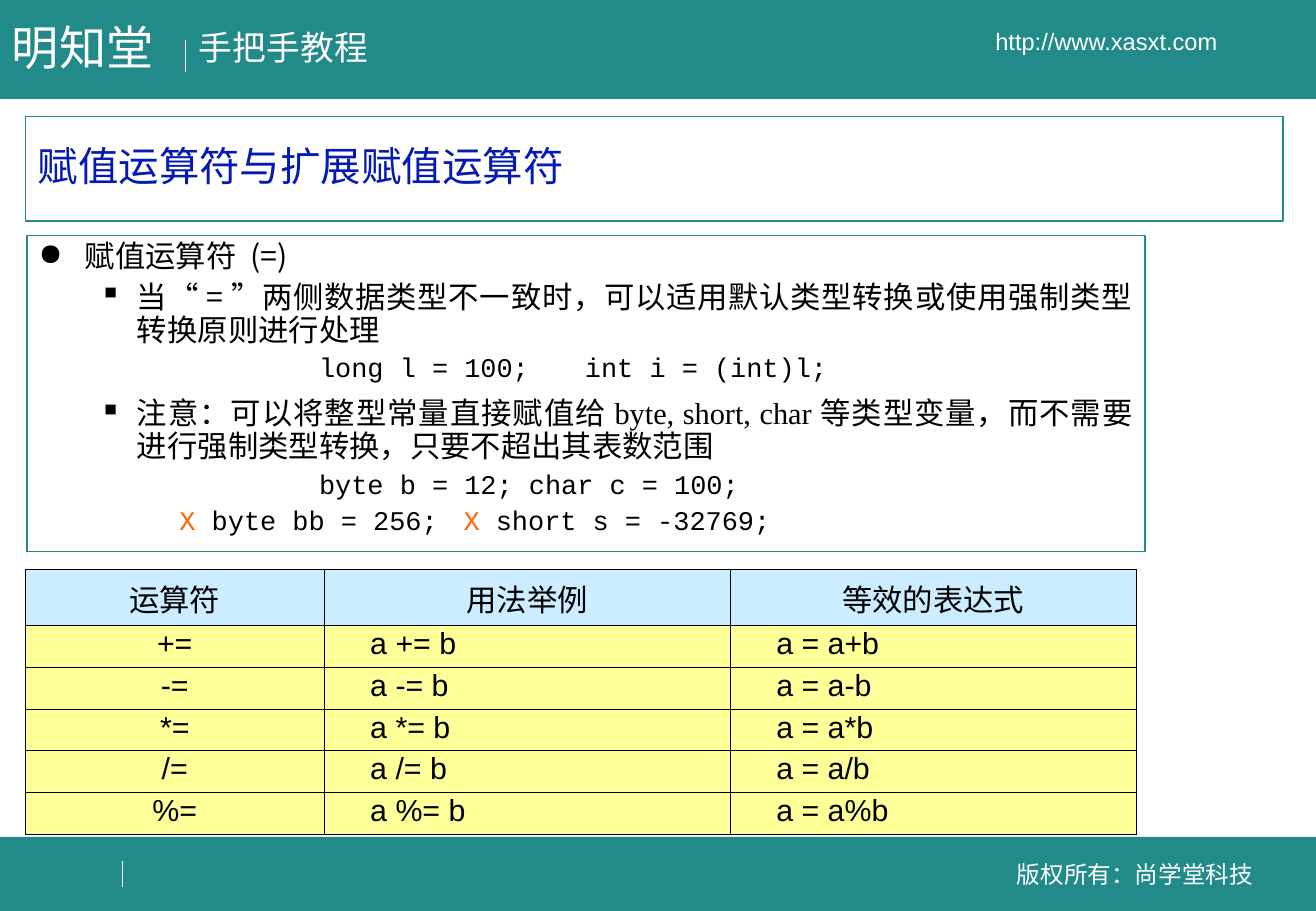
from lxml import etree
from pptx import Presentation
from pptx.dml.color import RGBColor
from pptx.enum.shapes import MSO_CONNECTOR, MSO_SHAPE
from pptx.enum.text import MSO_ANCHOR, MSO_AUTO_SIZE, PP_ALIGN
from pptx.oxml.ns import qn
from pptx.util import Inches, Pt

RECTANGLE = MSO_SHAPE.RECTANGLE
STRAIGHT = MSO_CONNECTOR.STRAIGHT
TOP, MIDDLE = MSO_ANCHOR.TOP, MSO_ANCHOR.MIDDLE
NO_AUTOFIT = MSO_AUTO_SIZE.NONE
LEFT, CENTER, JUSTIFY = PP_ALIGN.LEFT, PP_ALIGN.CENTER, PP_ALIGN.JUSTIFY

TEAL, WHITE, BLACK, BLUE, ORANGE = "228A88", "FFFFFF", "000000", "051AB3", "FF6600"
HEADER_FILL, ROW_FILL = "CCECFF", "FFFF99"
ARIAL, COURIER, SANS, TIMES = "Arial", "Courier New", "Noto Sans CJK SC", "Times New Roman"
SLIDE_WIDTH, SLIDE_HEIGHT = 10.84, 7.5

CODE_STYLE = (COURIER, 16, BLACK)
CROSS_STYLE = (COURIER, 16, ORANGE)
SANS_STYLE = (SANS, 18, BLACK)
TIMES_STYLE = (TIMES, 18, BLACK)

BODY = [
    dict(bullet="●", margin=0.38, indent=-0.38, before=0,
         runs=[("赋值", TIMES_STYLE), ("运算符 (=)", SANS_STYLE)]),
    dict(bullet="▪", margin=0.81, indent=-0.31, before=4.5,
         runs=[("当“=”两侧数据类型不一致时，可以适用默认类型转换或使用强制类型转换原则进行处理",
                SANS_STYLE)]),
    dict(indent=2.31, tab=4.98, before=4,
         runs=[("long l = 100;\tint i = (int)l;", CODE_STYLE)]),
    dict(bullet="▪", margin=0.81, indent=-0.31, before=9,
         runs=[("注意：可以将整型常量直接赋值给", SANS_STYLE),
               ("byte, short, char", TIMES_STYLE),
               ("等类型变量，而不需要进行强制类型转换，只要不超出其表数范围", SANS_STYLE)]),
    dict(indent=2.31, before=4, runs=[("byte b = 12; char c = 100;", CODE_STYLE)]),
    dict(indent=1.16, tab=3.96, before=4,
         runs=[("X", CROSS_STYLE), (" byte bb = 256;\t", CODE_STYLE),
               ("X", CROSS_STYLE), (" short s = -32769;", CODE_STYLE)]),
]
TABLE_HEADINGS = ["运算符", "用法举例", "等效的表达式"]
OPERATORS = ["+", "-", "*", "/", "%"]


def color(value):
    return RGBColor.from_string(value)


def format_run(run, font, size, value):
    run.font.name = font
    run.font.size = Pt(size)
    run.font.color.rgb = color(value)
    east_asian = etree.SubElement(run.font._element, qn("a:ea"))
    east_asian.set("typeface", SANS)


def set_text(text_frame, text, font, size, value, align=LEFT):
    text_frame.text = text
    paragraph = text_frame.paragraphs[0]
    paragraph.alignment = align
    format_run(paragraph.runs[0], font, size, value)
    return paragraph


def add_rectangle(slide, box, fill=None, line_width=0.25):
    shape = slide.shapes.add_shape(RECTANGLE, *map(Inches, box))
    shape.shadow.inherit = False
    if fill:
        shape.fill.solid()
        shape.fill.fore_color.rgb = color(fill)
    else:
        shape.fill.background()
    shape.line.color.rgb = color(TEAL)
    shape.line.width = Pt(line_width)
    return shape


def add_divider(slide, x, top, bottom):
    connector = slide.shapes.add_connector(
        STRAIGHT, Inches(x), Inches(top), Inches(x), Inches(bottom))
    connector.line.color.rgb = color(WHITE)
    connector.line.width = Pt(0.75)
    etree.SubElement(connector._element.spPr, qn("a:effectLst"))


def add_label(slide, box, text, size, align=LEFT, anchor=TOP):
    text_frame = slide.shapes.add_textbox(*map(Inches, box)).text_frame
    text_frame.word_wrap = True
    text_frame.vertical_anchor = anchor
    set_text(text_frame, text, ARIAL, size, WHITE, align)


def add_header(slide, left, top, width, height):
    add_rectangle(slide, (left, top, width, height), TEAL)
    add_divider(slide, left + 1.53, top + 0.33, top + 0.59)
    add_label(slide, (left, top + 0.1, 1.45, 0.57), "明知堂", 28)
    add_label(slide, (left + 1.54, top + 0.17, 1.65, 0.44), "手把手教程", 20)
    add_label(slide, (left + 7.4, top + 0.17, 3.43, 0.34), "http://www.xasxt.com", 14,
              CENTER, MIDDLE)


def add_footer(slide, left, top, width, height):
    add_rectangle(slide, (left, top, width, height), TEAL)
    add_divider(slide, left + 1.01, top + 0.2, top + 0.41)
    add_label(slide, (left + 8.09, top + 0.14, 2.52, 0.34), "版权所有：尚学堂科技", 14,
              CENTER, MIDDLE)


def place_title(slide, left, top, width, height):
    title = slide.shapes.title
    title.left, title.top = Inches(left), Inches(top)
    title.width, title.height = Inches(width), Inches(height)
    title.line.color.rgb = color(TEAL)
    title.line.width = Pt(0.75)
    text_frame = title.text_frame
    text_frame.auto_size = NO_AUTOFIT
    text_frame.vertical_anchor = MIDDLE
    paragraph = set_text(text_frame, "赋值运算符与扩展赋值运算符", ARIAL, 24, BLUE)
    paragraph.line_spacing = 0.9


def format_body_paragraph(paragraph, runs, indent, before, margin=0, bullet=None, tab=None):
    properties = paragraph._p.get_or_add_pPr()
    properties.set("marL", str(Inches(margin)))
    properties.set("indent", str(Inches(indent)))
    if bullet:
        bullet_color = etree.SubElement(properties, qn("a:buClr"))
        etree.SubElement(bullet_color, qn("a:srgbClr")).set("val", BLACK)
        etree.SubElement(properties, qn("a:buChar")).set("char", bullet)
    if tab:
        tab_list = etree.SubElement(properties, qn("a:tabLst"))
        etree.SubElement(tab_list, qn("a:tab"), pos=str(Inches(tab)), algn="l")
    paragraph.alignment = JUSTIFY
    paragraph.line_spacing = 0.9
    paragraph.space_before = Pt(before)
    for text, style in runs:
        run = paragraph.add_run()
        run.text = text
        format_run(run, *style)


def add_body(slide, left, top, width, height):
    shape = add_rectangle(slide, (left, top, width, height), line_width=1)
    text_frame = shape.text_frame
    text_frame.word_wrap = True
    text_frame.vertical_anchor = TOP
    for index, entry in enumerate(BODY):
        paragraph = text_frame.add_paragraph() if index else text_frame.paragraphs[0]
        format_body_paragraph(paragraph, **entry)


def format_cell(cell, text, fill, font, align, spacing, left_margin):
    paragraph = set_text(cell.text_frame, text, font, 18, BLACK, align)
    paragraph.line_spacing = spacing
    cell.vertical_anchor = MIDDLE
    cell.margin_left = Inches(left_margin)
    cell.margin_right = Inches(0.1)
    cell.margin_top = cell.margin_bottom = Inches(0.05)
    properties = cell._tc.get_or_add_tcPr()
    for side in ("lnL", "lnR", "lnT", "lnB"):
        border = etree.SubElement(properties, qn(f"a:{side}"), w=str(Pt(0.45)))
        border_fill = etree.SubElement(border, qn("a:solidFill"))
        etree.SubElement(border_fill, qn("a:srgbClr")).set("val", BLACK)
    cell.fill.solid()
    cell.fill.fore_color.rgb = color(fill)


def add_operator_table(slide, left, top, width, height):
    rows = [TABLE_HEADINGS]
    rows += [[f"{sign}=", f"a {sign}= b", f"a = a{sign}b"] for sign in OPERATORS]
    frame = slide.shapes.add_table(len(rows), 3, *map(Inches, (left, top, width, height)))
    table = frame.table
    first_width, heading_height = 2.46, 0.46
    example_width = (width - first_width) / 2
    for column, column_width in zip(table.columns, (first_width, example_width, example_width)):
        column.width = Inches(column_width)
    row_height = (height - heading_height) / len(OPERATORS)
    for row_index, texts in enumerate(rows):
        table.rows[row_index].height = Inches(row_height if row_index else heading_height)
        for column_index, text in enumerate(texts):
            cell = table.cell(row_index, column_index)
            if row_index == 0:
                format_cell(cell, text, HEADER_FILL, SANS, CENTER, 1.0, 0.1)
            elif column_index == 0:
                format_cell(cell, text, ROW_FILL, ARIAL, CENTER, 0.8, 0.1)
            else:
                format_cell(cell, text, ROW_FILL, ARIAL, LEFT, 0.8, 0.38)


def main():
    presentation = Presentation()
    presentation.slide_width = Inches(SLIDE_WIDTH)
    presentation.slide_height = Inches(SLIDE_HEIGHT)
    slide = presentation.slides.add_slide(presentation.slide_layouts[5])
    add_footer(slide, 0, 6.89, SLIDE_WIDTH, 0.61)
    add_header(slide, 0, 0, SLIDE_WIDTH, 0.81)
    add_body(slide, 0.22, 1.94, 9.21, 2.6)
    place_title(slide, 0.21, 0.96, 10.36, 0.86)
    add_operator_table(slide, 0.21, 4.69, 9.15, 2.18)
    presentation.save("out.pptx")


if __name__ == "__main__":
    main()
